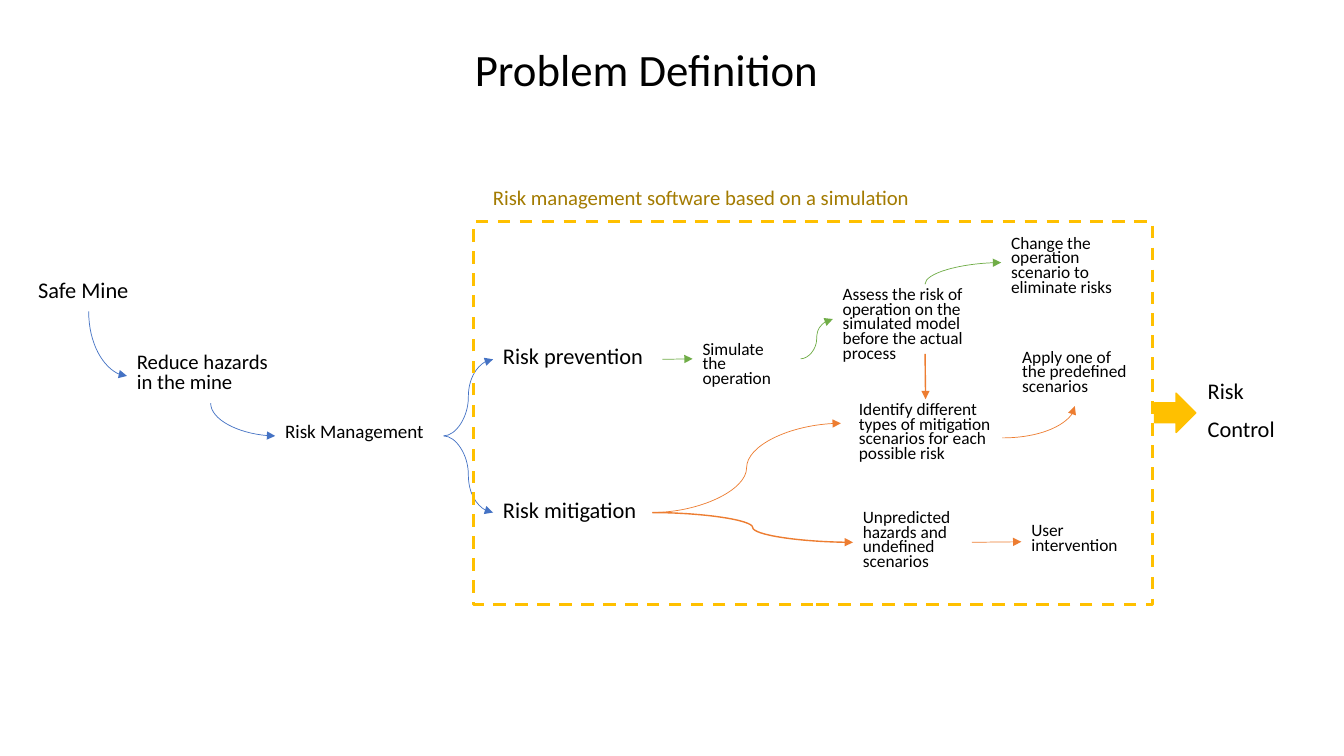
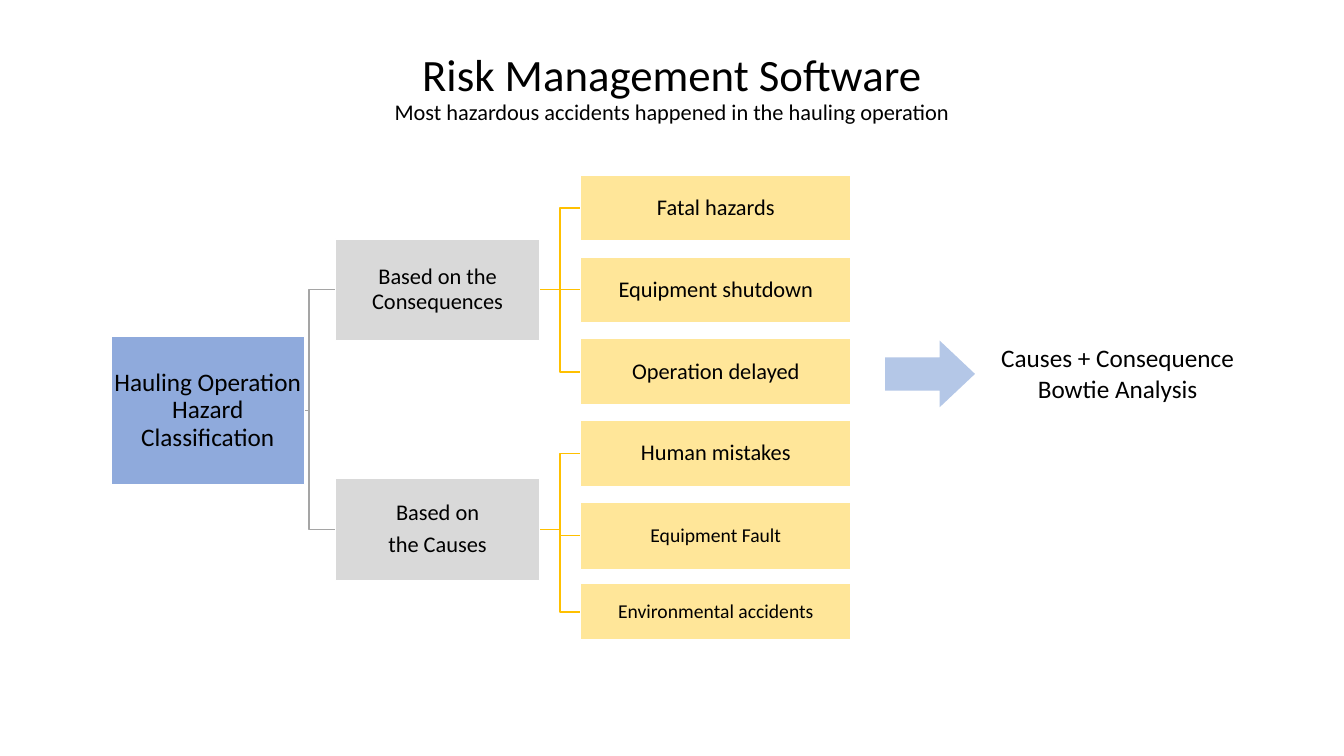
from lxml import etree
from pptx import Presentation
from pptx.dml.color import RGBColor
from pptx.enum import dml, shapes, text
from pptx.oxml.ns import qn
from pptx.util import Inches, Pt

FONT = "Calibri"
BLACK = RGBColor(0x00, 0x00, 0x00)
WHITE = RGBColor(0xFF, 0xFF, 0xFF)
BLUE = RGBColor(0x44, 0x72, 0xC4)
GREEN = RGBColor(0x70, 0xAD, 0x47)
ORANGE = RGBColor(0xED, 0x7D, 0x31)
GOLD = RGBColor(0xFF, 0xC0, 0x00)
OCHRE = RGBColor(0xA3, 0x7B, 0x01)
GREY = RGBColor(0xA5, 0xA5, 0xA5)
SILVER = RGBColor(0xD9, 0xD9, 0xD9)
SKY = RGBColor(0x8F, 0xAA, 0xDC)
PALE = RGBColor(0xB4, 0xC7, 0xE7)
CREAM = RGBColor(0xFF, 0xE6, 0x99)

TOP, LEFT, BOTTOM, RIGHT = range(4)
START, MID = text.PP_ALIGN.LEFT, text.PP_ALIGN.CENTER
RECT, ARROW = shapes.MSO_SHAPE.RECTANGLE, shapes.MSO_SHAPE.RIGHT_ARROW
KIND = shapes.MSO_CONNECTOR

# name: (words, (left, top, width, height), size, line spacing)
NOTES = {
    "mine": ("Safe Mine", (0.28, 2.72, 1.2, 0.37), 16, 0.9),
    "reduce": ("Reduce hazards in the mine", (1.26, 3.46, 1.66, 0.54), 14.8, 0.8),
    "manage": ("Risk Management", (2.73, 4.16, 1.67, 0.33), 13.6, 0.8),
    "prevent": ("Risk prevention", (4.89, 3.4, 1.68, 0.33), 16, 0.8),
    "mitigate": ("Risk mitigation", (4.89, 4.92, 1.58, 0.33), 16, 0.8),
    "simulate": ("Simulate the operation", (6.87, 3.36, 1.07, 0.4), 12.4, 0.7),
    "assess": ("Assess the risk of operation on the simulated model before "
               "the actual process", (8.26, 2.82, 1.83, 0.69), 12.4, 0.7),
    "change": ("Change the operation scenario to eliminate risks",
               (9.93, 2.31, 1.48, 0.59), 12.4, 0.7),
    "identify": ("Identify different types of mitigation scenarios for each "
                 "possible risk", (8.42, 3.96, 1.52, 0.77), 12.4, 0.7),
    "apply": ("Apply one of the predefined scenarios",
              (10.04, 3.44, 1.24, 0.59), 12.4, 0.7),
    "hazards": ("Unpredicted hazards and undefined scenarios",
                (8.46, 5.03, 1.18, 0.7), 12.4, 0.7),
    "user": ("User intervention", (10.13, 5.16, 1.18, 0.43), 12.4, 0.7),
    "control": ("Risk\nControl", (11.88, 3.72, 0.93, 0.73), 16, 0.9),
}
# from, side, to (a name or a free point), side, colour, width
FLOWS = [
    ("mine", BOTTOM, "reduce", LEFT, BLUE, 0.5),
    ("reduce", BOTTOM, "manage", LEFT, BLUE, 0.5),
    ("manage", RIGHT, "prevent", LEFT, BLUE, 0.5),
    ("manage", RIGHT, "mitigate", LEFT, BLUE, 0.5),
    ("prevent", RIGHT, "simulate", LEFT, GREEN, 0.5),
    ("simulate", RIGHT, "assess", LEFT, GREEN, 0.5),
    ("assess", TOP, "change", LEFT, GREEN, 0.5),
    ("assess", BOTTOM, "identify", TOP, ORANGE, 1),
    ("mitigate", RIGHT, (8.34, 4.2), LEFT, ORANGE, 0.5),
    ("mitigate", RIGHT, "hazards", LEFT, ORANGE, 1),
    ("identify", RIGHT, "apply", BOTTOM, ORANGE, 0.5),
    ("hazards", RIGHT, "user", LEFT, ORANGE, 0.5),
]

ROOT = ("Hauling Operation Hazard Classification", (1.1, 3.34, 1.92, 1.47))
# words, top, leaves as (words, size, height)
GROUPS = [
    ("Based on the Consequences", 2.37,
     [("Fatal hazards", 16, 0.65), ("Equipment shutdown", 16, 0.65),
      ("Operation delayed", 16, 0.66)]),
    ("Based on\nthe Causes", 4.75,
     [("Human mistakes", 16, 0.66), ("Equipment Fault", 14, 0.67),
      ("Environmental accidents", 14, 0.56)]),
]
GROUP_X, GROUP_W, GROUP_H = 3.33, 2.02, 1.01
LEAF_X, LEAF_Y, LEAF_W, LEAF_STEP = 5.76, 1.74, 2.68, 0.81
STEM_X = 2.8


def inches(nums):
    return [Inches(n) for n in nums]


def write(frame, words, size, color=BLACK, align=START, gap=0.9, before=0, after=0):
    frame.text = words
    frame.word_wrap = True
    for para in frame.paragraphs:
        para.alignment, para.line_spacing = align, gap
        para.space_before, para.space_after = Pt(before), Pt(after)
        for run in para.runs:
            font = run.font
            font.name, font.size, font.color.rgb = FONT, Pt(size), color


def start(deck, words, box, anchor, align):
    """Add a title-only slide and set its title."""
    slide = deck.slides.add_slide(deck.slide_layouts[5])
    title = slide.shapes.title
    title.left, title.top, title.width, title.height = inches(box)
    frame = title.text_frame
    write(frame, words, 32, align=align)
    frame.auto_size = text.MSO_AUTO_SIZE.NONE
    frame.vertical_anchor = anchor
    return slide


def label(slide, words, box, size, **style):
    note = slide.shapes.add_textbox(*inches(box))
    write(note.text_frame, words, size, **style)
    return note


def block(slide, kind, box, fill=None, edge=None, width=1):
    shape = slide.shapes.add_shape(kind, *inches(box))
    shape.shadow.inherit = False
    if fill is None:
        shape.fill.background()
    else:
        shape.fill.solid()
        shape.fill.fore_color.rgb = fill
    if edge is None:
        shape.line.fill.background()
    else:
        shape.line.color.rgb, shape.line.width = edge, Pt(width)
    return shape


def wire(slide, kind, a, b, color, width, tip=None):
    """Draw a connector; tip is headEnd or tailEnd for an arrowhead."""
    link = slide.shapes.add_connector(kind, *inches(a + b))
    link.line.color.rgb, link.line.width = color, Pt(width)
    props = link.element.find(qn("p:spPr"))
    if tip:
        etree.SubElement(props.find(qn("a:ln")), qn("a:" + tip), type="triangle")
    etree.SubElement(props, qn("a:effectLst"))
    return link


def side(box, n):
    """Return the middle of one side of a box."""
    x, y, w, h = box
    return [(x + w / 2, y), (x, y + h / 2), (x + w / 2, y + h), (x + w, y + h / 2)][n]


def flow(slide, notes, src, out, dst, into, color, width):
    a = side(NOTES[src][1], out)
    b = side(NOTES[dst][1], into) if dst in NOTES else dst
    flat = min(abs(a[0] - b[0]), abs(a[1] - b[1])) < 0.02
    ends = [(src, out, a), (dst, into, b)]
    tip = "tailEnd"
    # A quarter curve leaves sideways, so one that leaves upright runs backwards.
    if not flat and out in (TOP, BOTTOM):
        ends.reverse()
        tip = "headEnd"
    kind = KIND.STRAIGHT if flat else KIND.CURVE
    link = wire(slide, kind, ends[0][2], ends[1][2], color, width, tip)
    if not flat and out % 2 != into % 2:
        link.element.find(".//" + qn("a:prstGeom")).set("prst", "curvedConnector2")
    for (name, n, _), join in zip(ends, (link.begin_connect, link.end_connect)):
        if name in notes:
            join(notes[name], n)


def problem(deck):
    slide = start(deck, "Problem Definition", (4.61, 0.33, 3.71, 0.67),
                  text.MSO_ANCHOR.BOTTOM, START)
    notes = {name: label(slide, words, box, size, gap=gap, before=10)
             for name, (words, box, size, gap) in NOTES.items()}
    for item in FLOWS:
        flow(slide, notes, *item)
    label(slide, "Risk management software based on a simulation",
          (4.79, 1.81, 4.6, 0.33), 14.8, color=OCHRE, before=10)
    frame = block(slide, RECT, (4.7, 2.2, 6.73, 3.8), edge=GOLD, width=2.25)
    frame.line.dash_style = dml.MSO_LINE.DASH
    block(slide, ARROW, (11.45, 3.9, 0.41, 0.39), GOLD, GOLD)


def software(deck):
    slide = start(deck, "Risk Management Software\nMost hazardous accidents "
                  "happened in the hauling operation",
                  (1.1, 0.21, 11.13, 1.34), text.MSO_ANCHOR.MIDDLE, MID)
    sub = slide.shapes.title.text_frame.paragraphs[1]
    sub.runs[0].font.size = Pt(16)

    cells = [(*ROOT, 18, SKY)]
    lines = []
    stem = (STEM_X, side(ROOT[1], RIGHT)[1])
    row = 0
    for words, top, leaves in GROUPS:
        group = (GROUP_X, top, GROUP_W, GROUP_H)
        cells.append((words, group, 16, SILVER))
        lines.append((stem, side(group, LEFT), GREY))
        for leaf, size, high in leaves:
            box = (LEAF_X, LEAF_Y + row * LEAF_STEP, LEAF_W, high)
            cells.append((leaf, box, size, CREAM))
            lines.append((side(group, RIGHT), side(box, LEFT), GOLD))
            row += 1

    for a, b, color in lines:
        wire(slide, KIND.ELBOW, a, b, color, 1)
    for words, box, size, fill in cells:
        frame = block(slide, RECT, box, fill, WHITE).text_frame
        write(frame, words, size, align=MID, after=size * 0.35)
        frame.vertical_anchor = text.MSO_ANCHOR.MIDDLE
        frame.margin_left = frame.margin_right = Inches(0.01)
        frame.margin_top = frame.margin_bottom = Inches(0.01)

    label(slide, "Causes + Consequence\nBowtie Analysis",
          (9.68, 3.35, 2.81, 0.71), 18, align=MID, gap=1)
    arrow = block(slide, ARROW, (8.78, 3.38, 0.89, 0.66), PALE)
    arrow.adjustments[1] = 0.53


def main():
    deck = Presentation()
    deck.slide_width, deck.slide_height = inches((13.33, 7.5))
    problem(deck)
    software(deck)
    deck.save("out.pptx")


if __name__ == "__main__":
    main()
